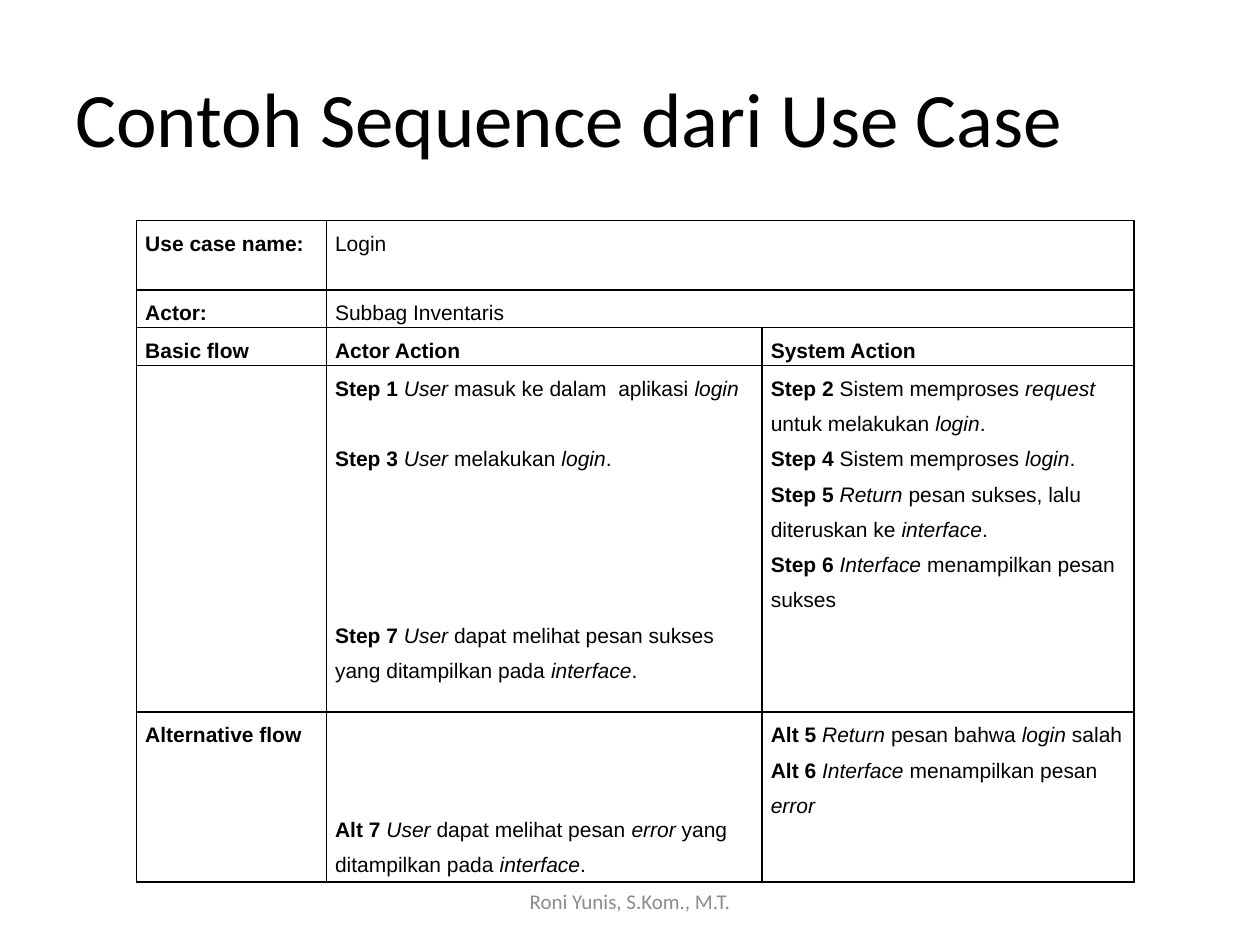
from lxml.etree import SubElement
from pptx import Presentation
from pptx.dml.color import RGBColor
from pptx.enum.text import MSO_ANCHOR, PP_ALIGN
from pptx.oxml.ns import qn
from pptx.util import Pt


def tint(hue):
    """Turn a hex string into a colour."""
    return RGBColor.from_string(hue)


def add_run(para, text, hue="000000", **form):
    """Add a run and set its font from the format values."""
    run = para.add_run()
    run.text = text
    run.font.color.rgb = tint(hue)
    for key, val in form.items():
        setattr(run.font, key, val)


deck = Presentation()
deck.slide_width, deck.slide_height = Pt(720), Pt(540)
slide = deck.slides.add_slide(deck.slide_layouts[6])

# Title and footer
labels = [
    ("Contoh Sequence dari Use Case", (36, 21.6, 648, 90), 44, "000000", PP_ALIGN.LEFT),
    ("Roni Yunis, S.Kom., M.T.", (246, 500.5, 228, 28.8), 12, "8C8C8C", PP_ALIGN.CENTER),
]
for text, place, size, hue, align in labels:
    frame = slide.shapes.add_textbox(*map(Pt, place)).text_frame
    frame.word_wrap = True
    frame.vertical_anchor = MSO_ANCHOR.MIDDLE
    para = frame.paragraphs[0]
    para.alignment = align
    add_run(para, text, hue, name="Calibri", size=Pt(size))

# Use case table: bold text stands before the bar, italics between stars
rows = [
    [["Use case name:|"], ["|Login"], None],
    [["Actor:|"], ["|Subbag Inventaris"], None],
    [["Basic flow|"], ["Actor Action|"], ["System Action|"]],
    [
        [],
        [
            "Step 1 |*User *masuk ke dalam  aplikasi *login*",
            "Step 3 |*User *melakukan *login*.",
            "Step 7 |*User *dapat melihat pesan sukses yang ditampilkan pada *interface*.",
        ],
        [
            "Step 2 |Sistem memproses *request *untuk melakukan *login*.",
            "Step 4 |Sistem memproses *login*.",
            "Step 5 |*Return *pesan sukses, lalu diteruskan ke *interface*.",
            "Step 6 |*Interface *menampilkan pesan sukses",
        ],
    ],
    [
        ["Alternative flow|"],
        ["Alt 7 |*User *dapat melihat pesan *error* yang ditampilkan pada *interface*."],
        [
            "Alt 5 |*Return *pesan bahwa *login *salah",
            "Alt 6 |*Interface *menampilkan pesan *error*",
        ],
    ],
]
widths = [108.5, 249, 212.5]
heights = [39.6, 20.1, 20.1, 198, 94]
gaps = {"Step 3 ": 20, "Step 7 ": 81}
tops = {(4, 1): 54}

table = slide.shapes.add_table(
    len(rows), len(widths), Pt(78), Pt(126), Pt(sum(widths)), Pt(sum(heights))
).table
table.first_row = table.horz_banding = False
for col, width in zip(table.columns, widths):
    col.width = Pt(width)
for row, height in zip(table.rows, heights):
    row.height = Pt(height)
for r in (0, 1):
    table.cell(r, 1).merge(table.cell(r, 2))

for r, row in enumerate(rows):
    for c, lines in enumerate(row):
        cell = table.cell(r, c)
        cell.margin_left = cell.margin_right = Pt(5)
        cell.margin_top, cell.margin_bottom = Pt(tops.get((r, c), 0)), Pt(0)
        props = cell._tc.get_or_add_tcPr()
        for side in ("lnL", "lnR", "lnT", "lnB"):
            edge = SubElement(props, qn(f"a:{side}"), w=str(Pt(1)))
            fill = SubElement(edge, qn("a:solidFill"))
            SubElement(fill, qn("a:srgbClr"), val="000000")
        cell.fill.background()

        for n, line in enumerate(lines or []):
            frame = cell.text_frame
            para = frame.add_paragraph() if n else frame.paragraphs[0]
            para.line_spacing = 1.5
            head, tail = line.split("|")
            para.space_before = Pt(gaps.get(head, 0))
            parts = [(head, True, False)]
            parts += [(t, False, i % 2 == 1) for i, t in enumerate(tail.split("*"))]
            for text, bold, slant in parts:
                if text:
                    add_run(para, text, name="Arial", size=Pt(12), bold=bold, italic=slant)

deck.save("out.pptx")
